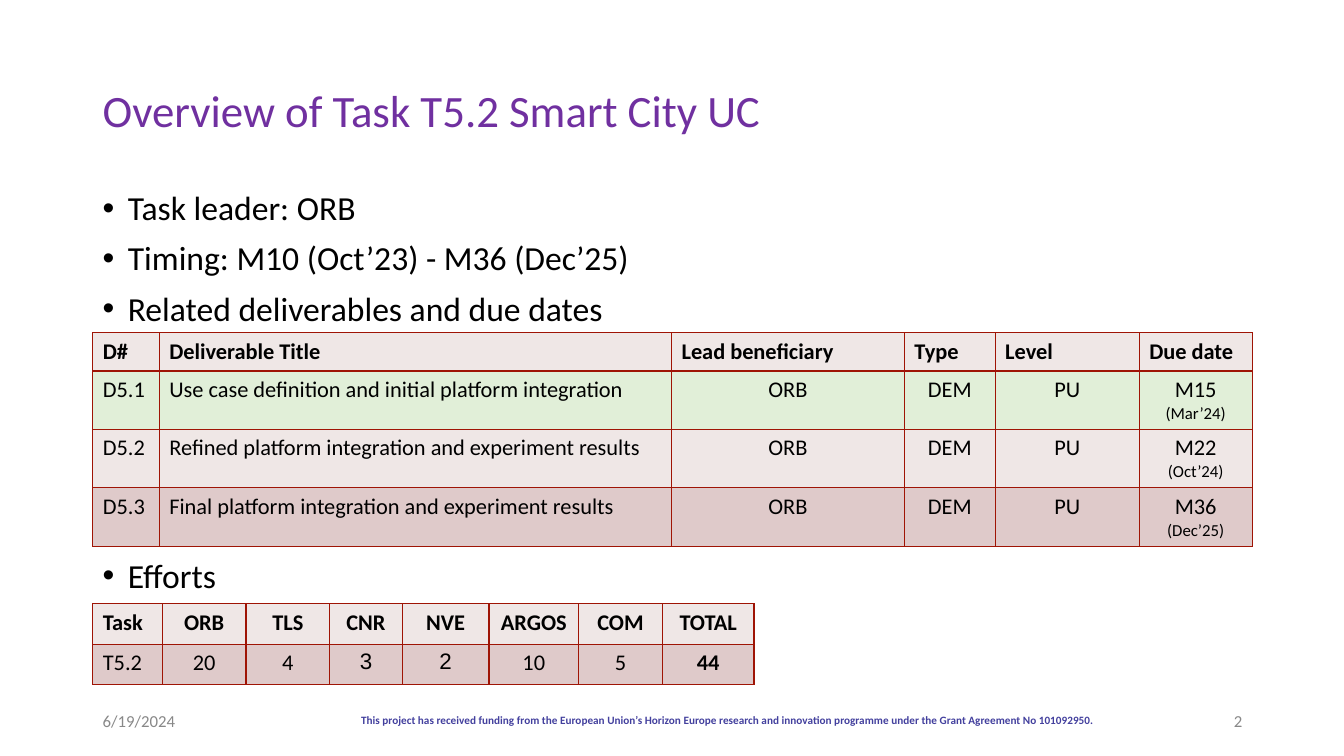
"""Build the overview slide of task T5.2 with its deliverables and efforts tables."""
import pptx
import pptx.dml.color
import pptx.enum.text
import pptx.oxml
import pptx.oxml.ns
import pptx.util

Inches = pptx.util.Inches
Pt = pptx.util.Pt
ALIGN = pptx.enum.text.PP_ALIGN
ANCHOR = pptx.enum.text.MSO_ANCHOR
PALE, ROSE, GREEN = "EFE7E6", "DFCACA", "E1EFD8"
BORDER = "9F1405"


def color(value):
    return pptx.dml.color.RGBColor.from_string(value)


def write(paragraph, text, size, ink, align=ALIGN.LEFT, bold=False, name="Calibri"):
    paragraph.alignment = align
    run = paragraph.add_run()
    run.text = text
    for attribute, value in {"size": Pt(size), "bold": bold, "name": name}.items():
        setattr(run.font, attribute, value)
    run.font.color.rgb = color(ink)


presentation = pptx.Presentation()
presentation.slide_width = Inches(13.33)
presentation.slide_height = Inches(7.5)
slide = presentation.slides.add_slide(presentation.slide_layouts[6])

funding = (
    "This project has received funding from the European Union’s Horizon Europe research "
    "and innovation programme under the Grant Agreement No 101092950."
)
labels = [
    (funding, (2.02, 7.08, 10.4, 0.13), 8, "43409E", ALIGN.CENTER, True, 0, 1),
    ("Overview of Task T5.2 Smart City UC", (0.92, 0.4, 11.5, 1.45), 32, "7030A0",
     ALIGN.LEFT, False, 0.05, 0.9),
    ("6/19/2024", (0.92, 6.95, 3, 0.4), 12, "888888", ALIGN.LEFT, False, 0.05, 1),
    ("2", (9.42, 6.95, 3, 0.4), 12, "888888", ALIGN.RIGHT, False, 0.05, 1),
]
for text, box, size, ink, align, bold, inset, spacing in labels:
    frame = slide.shapes.add_textbox(*map(Inches, box)).text_frame
    frame.word_wrap = True
    frame.vertical_anchor = ANCHOR.MIDDLE
    frame.margin_top = frame.margin_bottom = Inches(inset)
    frame.margin_left = frame.margin_right = Inches(2 * inset)
    frame.paragraphs[0].line_spacing = spacing
    write(frame.paragraphs[0], text, size, ink, align, bold)

bullets = [
    ("Task leader: ORB", 0),
    ("Timing: M10 (Oct’23) - M36 (Dec’25)", 10),
    ("Related deliverables and due dates", 10),
    ("Efforts", 165),
]
body = slide.shapes.add_textbox(*map(Inches, (0.92, 1.85, 11.5, 4.76))).text_frame
body.word_wrap = True
for index, (text, space_before) in enumerate(bullets):
    paragraph = body.add_paragraph() if index else body.paragraphs[0]
    paragraph.line_spacing = 0.9
    paragraph.space_before = Pt(space_before)
    properties = paragraph._p.get_or_add_pPr()
    properties.set("marL", str(Inches(0.25)))
    properties.set("indent", str(Inches(-0.25)))
    for tag, attribute, value in (("buFont", "typeface", "Arial"), ("buChar", "char", "•")):
        element = properties.makeelement(pptx.oxml.ns.qn(f"a:{tag}"), {attribute: value})
        properties.append(element)
    write(paragraph, text, 24, "000000")

deliverables = {
    "position": (0.92, 3.3),
    "columns": [0.66, 5.08, 2.31, 0.9, 1.43, 1.12],
    "heights": [0.38, 0.58, 0.58, 0.58],
    "fills": [PALE, GREEN, PALE, ROSE],
    "left_cells": {(0, column) for column in range(6)} | {(row, 1) for row in range(4)},
    "rows": [
        ["D#", "Deliverable Title", "Lead beneficiary", "Type", "Level", "Due date"],
        ["D5.1", "Use case definition and initial platform integration",
         "ORB", "DEM", "PU", "M15\n(Mar’24)"],
        ["D5.2", "Refined platform integration and experiment results",
         "ORB", "DEM", "PU", "M22\n(Oct’24)"],
        ["D5.3", "Final platform integration and experiment results",
         "ORB", "DEM", "PU", "M36\n(Dec’25)"],
    ],
}
efforts = {
    "position": (0.92, 5.99),
    "columns": [0.69, 0.83, 0.83, 0.72, 0.86, 0.89, 0.83, 0.91],
    "heights": [0.4, 0.4],
    "fills": [PALE, ROSE],
    "left_cells": set(),
    "rows": [
        ["Task", "ORB", "TLS", "CNR", "NVE", "ARGOS", "COM", "TOTAL"],
        ["T5.2", "20", "4", "3", "2", "10", "5", "44"],
    ],
}
for content in (deliverables, efforts):
    rows, columns, heights = content["rows"], content["columns"], content["heights"]
    table = slide.shapes.add_table(
        len(rows), len(columns), *map(Inches, content["position"]),
        Inches(sum(columns)), Inches(sum(heights)),
    ).table
    table.first_row = table.horz_banding = False
    for column, width in zip(table.columns, columns):
        column.width = Inches(width)
    for row, height in zip(table.rows, heights):
        row.height = Inches(height)
    for row_index, values in enumerate(rows):
        for column_index, value in enumerate(values):
            cell = table.cell(row_index, column_index)
            for side in "LRTB":
                cell._tc.get_or_add_tcPr().append(pptx.oxml.parse_xml(
                    f'<a:ln{side} {pptx.oxml.ns.nsdecls("a")} w="{Pt(1)}"><a:solidFill>'
                    f'<a:srgbClr val="{BORDER}"/></a:solidFill></a:ln{side}>'
                ))
            cell.fill.solid()
            cell.fill.fore_color.rgb = color(content["fills"][row_index])
            left = column_index == 0 or (row_index, column_index) in content["left_cells"]
            align = ALIGN.LEFT if left else ALIGN.CENTER
            bold = row_index == 0 or value == "44"
            name = "Arial" if value in ("2", "3") else "Calibri"
            for line_index, line in enumerate(value.split("\n")):
                frame = cell.text_frame
                paragraph = frame.add_paragraph() if line_index else frame.paragraphs[0]
                write(paragraph, line, 12 if line_index else 16, "000000", align, bold, name)

presentation.save("out.pptx")
